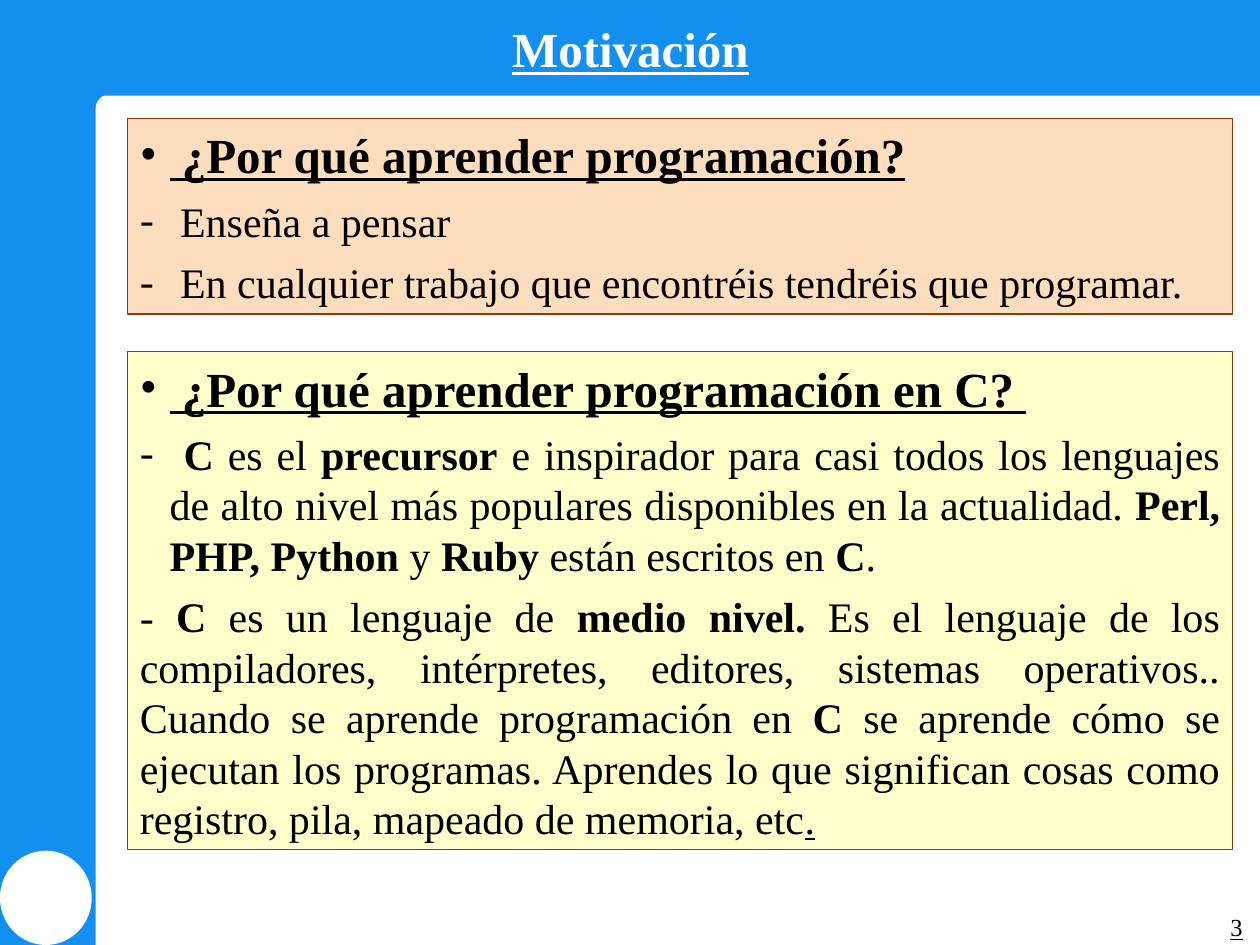
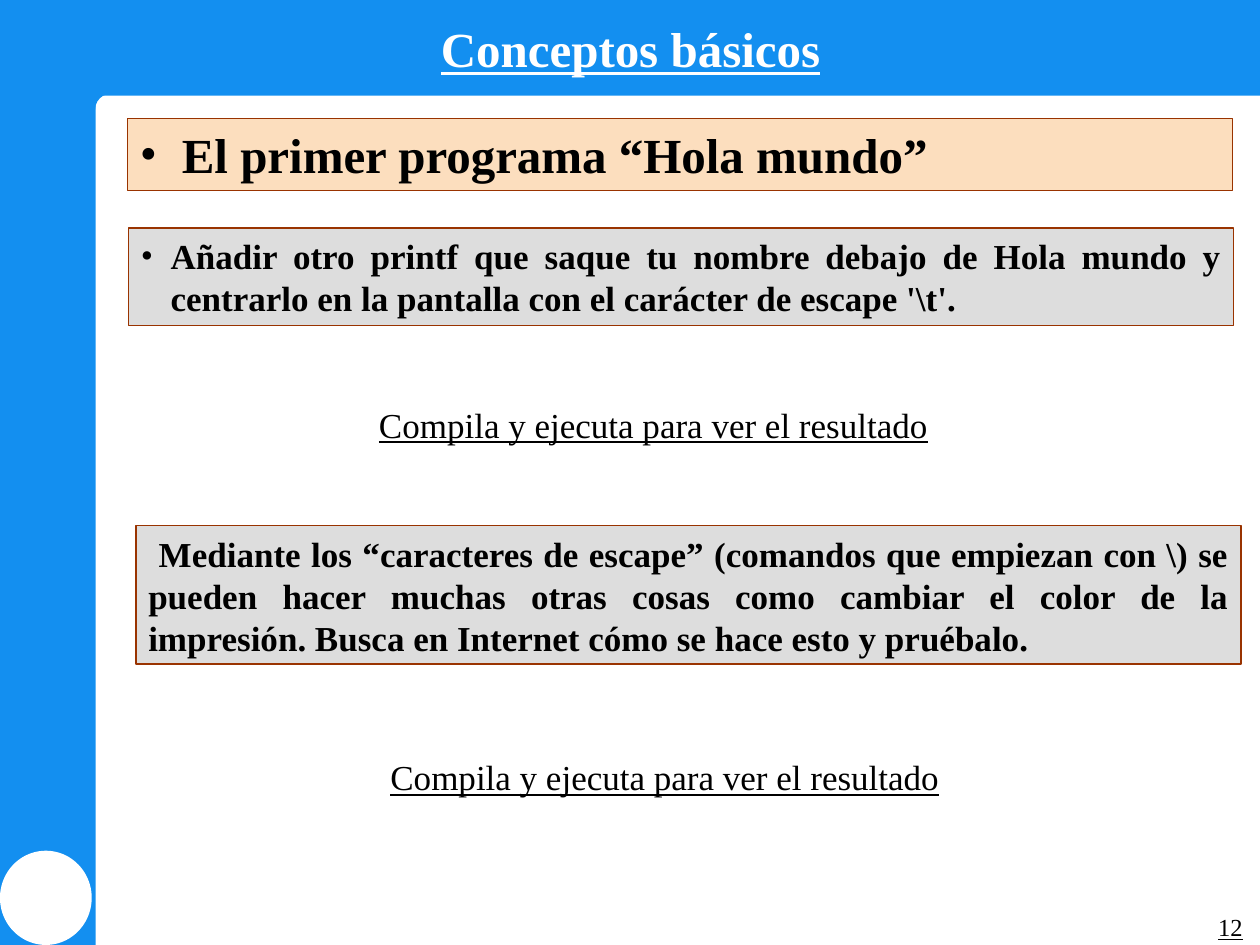
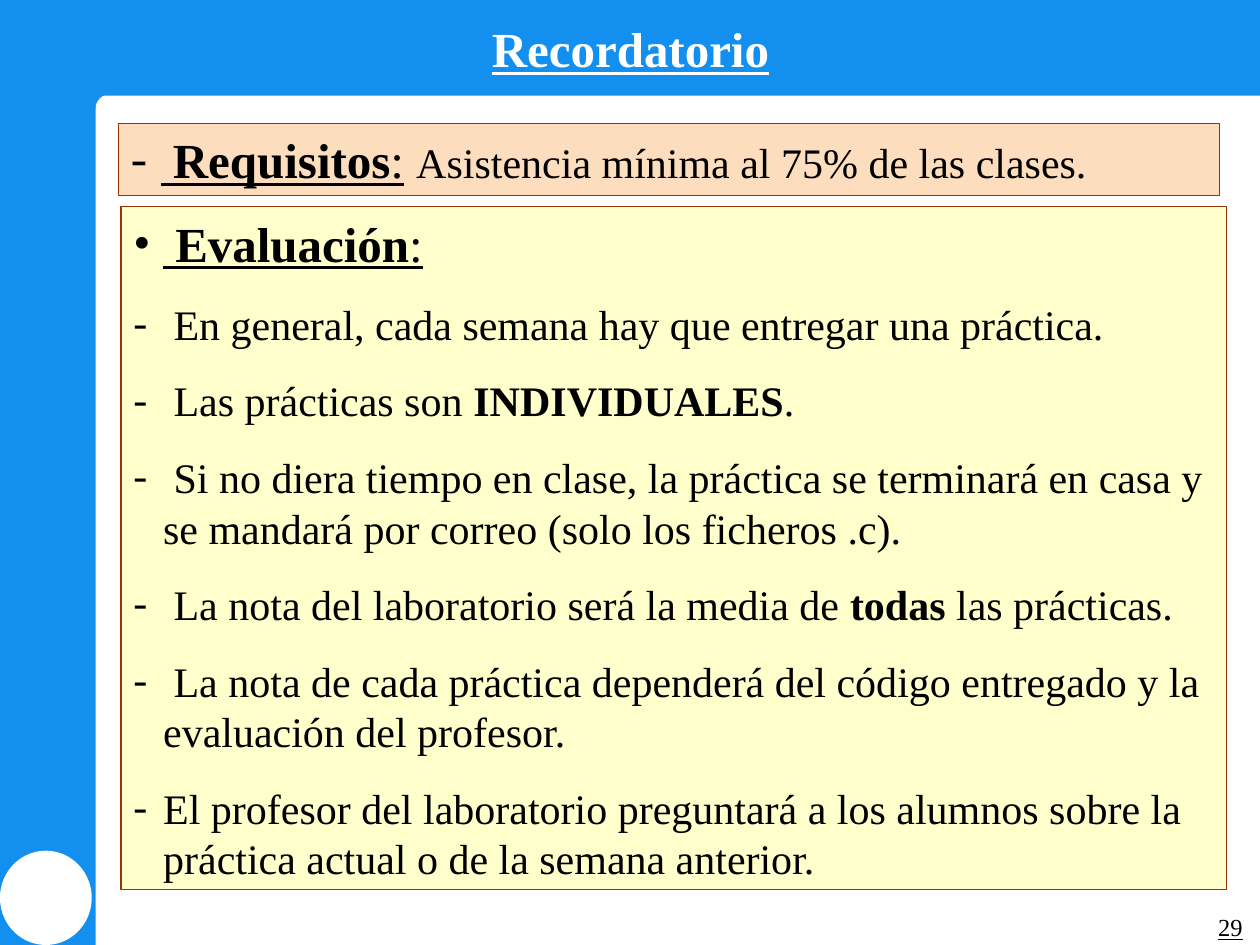
from lxml.etree import SubElement
from pptx import Presentation
from pptx.dml.color import RGBColor
from pptx.enum.shapes import MSO_SHAPE
from pptx.enum.text import MSO_ANCHOR, MSO_AUTO_SIZE, PP_ALIGN
from pptx.oxml.ns import qn
from pptx.util import Cm, Pt

FONT = "Times New Roman"
INK = {"blue": "138FF0", "white": "FFFFFF", "black": "000000", "rust": "993300",
       "peach": "FCDEBE", "cream": "FFFFCC", "grey": "DDDDDD"}
BIG, MID, LOW, TINY = 28, 24, 20, 14
LEFT, WIDE = 2.57, 22.28


def hue(name):
    return RGBColor.from_string(INK[name])


def place(item, box):
    item.left, item.top, item.width, item.height = map(Cm, box)


def block(shapes, kind, box, fill, line=None):
    shape = shapes.add_shape(kind, *map(Cm, box))
    shape.shadow.inherit = False
    shape.fill.solid()
    shape.fill.fore_color.rgb = hue(fill)
    if line:
        shape.line.color.rgb = hue(line)
        shape.line.width = Pt(0.75)
    else:
        shape.line.fill.background()
    return shape


def style(run, size, look="", ink="black"):
    font = run.font
    font.name, font.size = FONT, Pt(size)
    font.bold, font.underline = "b" in look, "u" in look
    font.color.rgb = hue(ink)


def prep(frame, wrap=True):
    frame.word_wrap = wrap
    frame.auto_size = MSO_AUTO_SIZE.NONE
    frame.vertical_anchor = MSO_ANCHOR.TOP
    frame.margin_left = frame.margin_right = Cm(0.25)
    frame.margin_top = frame.margin_bottom = Cm(0.13)


def mark(para, sign):
    props = para._p.get_or_add_pPr()
    props.set("marL", str(Cm(0.6)))
    props.set("indent", str(-Cm(0.6)))
    SubElement(props, qn("a:buFont"), typeface=FONT)
    SubElement(props, qn("a:buChar"), char=sign)


def rich(text, size=MID):
    return [(part, size, "b" if odd % 2 else "")
            for odd, part in enumerate(text.split("*")) if part]


def head(text, look="bu"):
    return "•", [(text, BIG, look)]


def dash(text):
    return "-", rich(text)


def panel(slide, box, fill, items, gap=6.5, align=PP_ALIGN.JUSTIFY):
    frame = block(slide.shapes, MSO_SHAPE.RECTANGLE, box, fill, "rust").text_frame
    prep(frame)
    for spot, (sign, parts) in enumerate(items):
        para = frame.add_paragraph() if spot else frame.paragraphs[0]
        if sign:
            mark(para, sign)
        para.alignment = align
        para.space_before = Pt(gap if spot else 0)
        for text, size, look in parts:
            run = para.add_run()
            run.text = text
            style(run, size, look)


def label(slide, box, text, size, align=PP_ALIGN.LEFT, wrap=False):
    frame = slide.shapes.add_textbox(*map(Cm, box)).text_frame
    prep(frame, wrap)
    para = frame.paragraphs[0]
    para.text = text
    para.alignment = align
    style(para.runs[0], size, "u")


def dress(layout, slide):
    for spare in list(layout.placeholders)[1:]:
        layout.shapes.element.remove(spare.element)
    bands = [(MSO_SHAPE.RECTANGLE, (0, 1.75, 1.93, 17.3), "blue"),
             (MSO_SHAPE.RECTANGLE, (0, 0, 25.4, 1.93), "blue"),
             (MSO_SHAPE.OVAL, (0, 17.15, 1.85, 1.9), "white"),
             (MSO_SHAPE.PLAQUE, (0.13, 0.28, 2.11, 1.93), "blue")]
    for band in bands:
        layout.shapes.element.append(block(slide.shapes, *band).element)


def start(deck, title, number):
    layout = deck.slide_layouts[5]
    slide = deck.slides.add_slide(layout)
    if len(deck.slides) == 1:
        dress(layout, slide)
    place(slide.shapes.title, (3.66, 0.25, 18.1, 1.45))
    frame = slide.shapes.title.text_frame
    prep(frame)
    frame.text = title
    para = frame.paragraphs[0]
    para.alignment = PP_ALIGN.CENTER
    para.space_before = Pt(0)
    style(para.runs[0], BIG, "bu", "white")
    label(slide, (17.73, 18.26, 7.57, 0.79), number, TINY, PP_ALIGN.RIGHT, True)
    return slide


def motive(deck):
    slide = start(deck, "Motivación", "3")
    panel(slide, (LEFT, 2.39, WIDE, 3.94), "peach", [
        head(" ¿Por qué aprender programación?"),
        dash(" Enseña a pensar"),
        dash(" En cualquier trabajo que encontréis tendréis que programar.")])
    panel(slide, (LEFT, 7.09, WIDE, 10.03), "cream", [
        head(" ¿Por qué aprender programación en C? "),
        dash(" *C* es el *precursor* e inspirador para casi todos los lenguajes de alto "
             "nivel más populares disponibles en la actualidad. *Perl, PHP, Python *y* Ruby* "
             "están escritos en *C*."),
        (None, rich("- *C* es un lenguaje de *medio nivel.* Es el lenguaje de los compiladores, "
                    "intérpretes, editores, sistemas operativos.. Cuando se aprende programación "
                    "en *C* se aprende cómo se ejecutan los programas. Aprendes lo que significan "
                    "cosas como registro, pila, mapeado de memoria, etc") + [(".", MID, "u")])])


def basics(deck):
    slide = start(deck, "Conceptos básicos", "12")
    panel(slide, (LEFT, 2.39, WIDE, 1.45), "peach",
          [head(" El primer programa “Hola mundo”", "b")])
    panel(slide, (2.59, 4.6, WIDE, 1.96), "grey", [
        ("•", rich("*Añadir otro printf que saque tu nombre debajo de Hola mundo y centrarlo "
                   "en la pantalla con el carácter de escape '\\t'.", LOW))])
    panel(slide, (2.74, 10.6, WIDE, 2.79), "grey", [
        (None, rich("* Mediante los “caracteres de escape” (comandos que empiezan con \\) se "
                    "pueden hacer muchas otras cosas como cambiar el color de la impresión. "
                    "Busca en Internet cómo se hace esto y pruébalo.", LOW))])
    for left, top in ((7.39, 8), (7.62, 15.11)):
        label(slide, (left, top, 11.58, 1.09), "Compila y ejecuta para ver el resultado", LOW)


def recap(deck):
    slide = start(deck, "Recordatorio", "29")
    panel(slide, (2.39, 2.49, 22.2, 1.45), "peach", [
        ("-", [(" Requisitos", BIG, "bu"), (":", BIG, "u"), (" ", BIG, ""),
               ("Asistencia mínima al 75% de las clases.", MID, "")])])
    title, notes = head(" Evaluación")
    panel(slide, (2.44, 4.17, WIDE, 13.77), "cream", [
        (title, notes + [(":", BIG, "u")]),
        dash(" En general, cada semana hay que entregar una práctica."),
        dash(" Las prácticas son *INDIVIDUALES*."),
        dash(" Si no diera tiempo en clase, la práctica se terminará en casa y se mandará "
             "por correo (solo los ficheros .c)."),
        dash(" La nota del laboratorio será la media de *todas* las prácticas."),
        dash(" La nota de cada práctica dependerá del código entregado y la evaluación "
             "del profesor."),
        dash("El profesor del laboratorio preguntará a los alumnos sobre la práctica actual "
             "o de la semana anterior.")], 15, PP_ALIGN.LEFT)


def main():
    deck = Presentation()
    deck.slide_width, deck.slide_height = Cm(25.4), Cm(19.05)
    motive(deck)
    basics(deck)
    recap(deck)
    deck.save("out.pptx")


if __name__ == "__main__":
    main()
